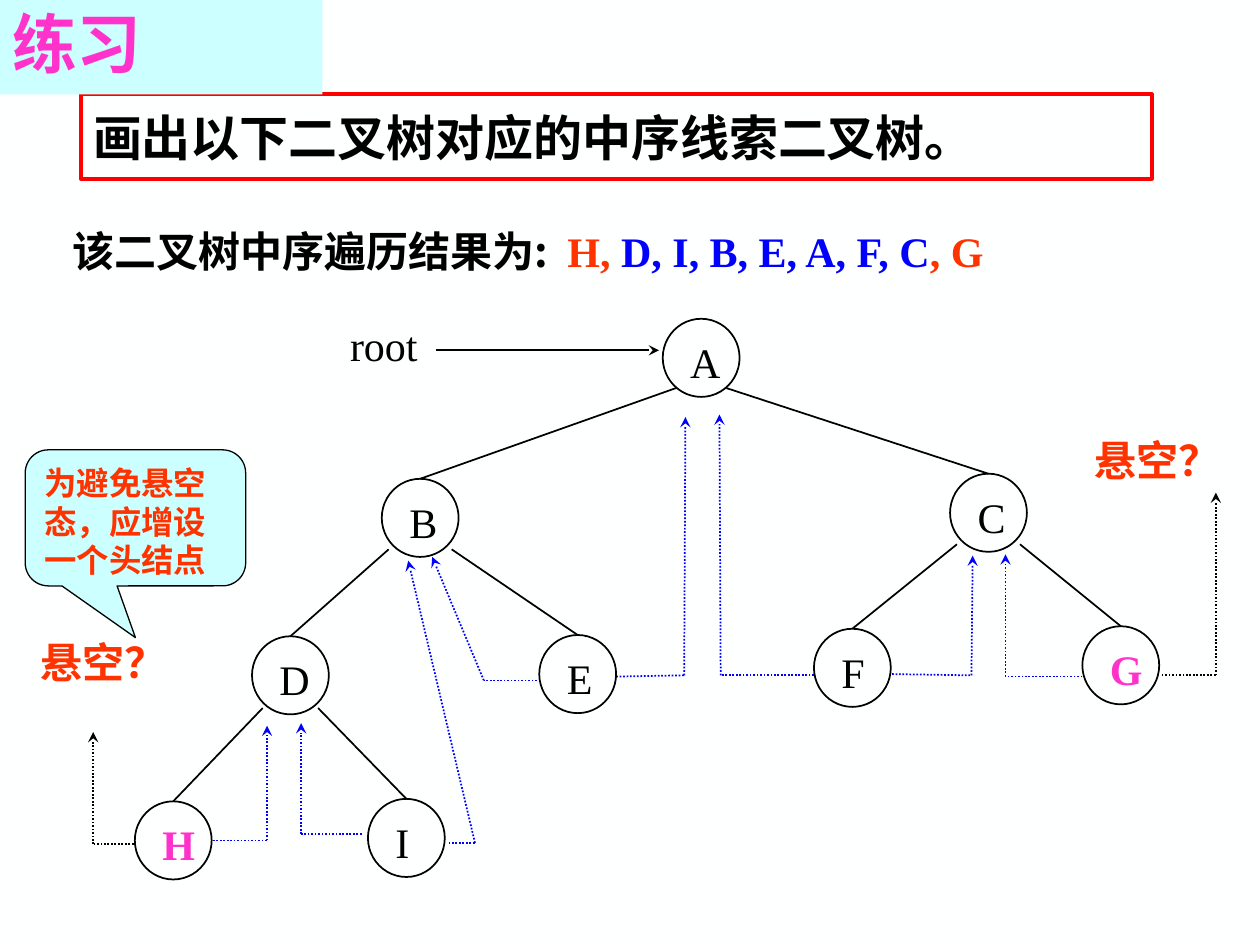
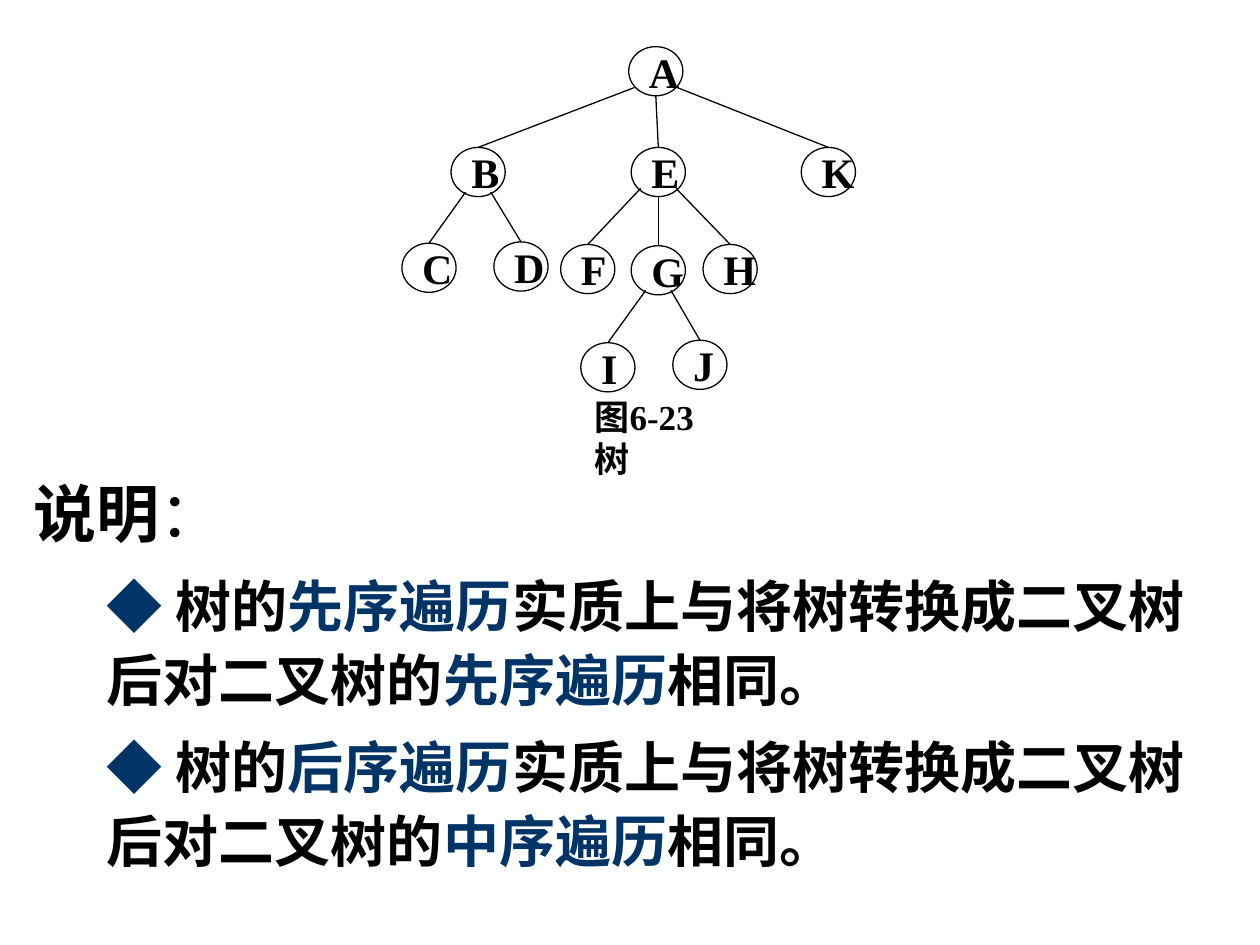
import pptx
import pptx.dml.color
import pptx.enum.dml
import pptx.enum.shapes
import pptx.enum.text
import pptx.oxml.ns
import pptx.util
from lxml import etree

RGB = pptx.dml.color.RGBColor
SHAPE = pptx.enum.shapes.MSO_SHAPE
ANCHOR = pptx.enum.text.MSO_ANCHOR
qn = pptx.oxml.ns.qn

BLACK = RGB(0x00, 0x00, 0x00)
PAPER = RGB(0xFE, 0xFF, 0xFF)
BLUE = RGB(0x00, 0x00, 0xFF)
NAVY = RGB(0x00, 0x33, 0x66)
RED = RGB(0xFF, 0x00, 0x00)
ORANGE = RGB(0xFF, 0x33, 0x00)
PINK = RGB(0xFF, 0x33, 0xCC)
CYAN = RGB(0xCC, 0xFF, 0xFF)
SERIF, SANS = "Times New Roman", "Noto Sans CJK SC"

# The slide is a grid of 10 columns by 7.5 rows of square cells.
WIDTH = pptx.util.Inches(10)
CELL = WIDTH // 10
HEIGHT = int(7.5 * CELL)

# Binary tree: node -> (left, top, label width)
BINARY_NODES = {
    "A": (5.26, 2.53, 0.44), "B": (3.03, 3.8, 0.42), "C": (7.54, 3.76, 0.42),
    "D": (2, 5.05, 0.44), "E": (4.28, 5.04, 0.41), "F": (6.46, 4.99, 0.39),
    "G": (8.59, 4.97, 0.46), "H": (1.07, 6.36, 0.46), "I": (2.92, 6.34, 0.31),
}
# Parent -> (children, sideways spread, drop below the centre)
BINARY_BRANCHES = {
    "A": ("BC", 0.2, 0.24), "B": ("DE", 0.25, 0.25),
    "C": ("FG", 0.25, 0.25), "D": ("HI", 0.22, 0.26),
}
# Each thread leaves a node, turns once and ends in an arrowhead.
THREADS = [
    [(3.56, 6.69), (3.77, 6.69), (3.24, 4.45)],
    [(4.26, 5.4), (3.84, 5.4), (3.43, 4.42)],
    [(2.87, 6.62), (2.39, 6.62), (2.39, 5.74)],
    [(1.69, 6.67), (2.12, 6.67), (2.12, 5.76)],
    [(6.46, 5.36), (5.72, 5.36), (5.71, 3.29)],
    [(8.59, 5.37), (7.98, 5.37), (7.98, 4.4)],
    [(4.89, 5.37), (5.43, 5.36), (5.44, 3.31)],
    [(7.08, 5.35), (7.71, 5.36), (7.72, 4.41)],
]
DANGLING_THREADS = [
    [(1.06, 6.7), (0.74, 6.7), (0.74, 5.81)],
    [(9.22, 5.36), (9.65, 5.36), (9.65, 3.91)],
]

# General tree: node -> (left, top)
TREE_NODES = {
    "A": (4.99, 0.37), "B": (3.58, 1.17), "E": (5.01, 1.17), "K": (6.36, 1.17),
    "C": (3.19, 1.93), "D": (3.92, 1.92), "F": (4.45, 1.94), "G": (5.01, 1.95),
    "H": (5.58, 1.94), "I": (4.61, 2.72), "J": (5.34, 2.7),
}
TREE_BRANCHES = {
    "A": ("BEK", 0.17, 0.13), "B": ("CD", 0.1, 0.16),
    "E": ("FGH", 0.14, 0.13), "G": ("IJ", 0.1, 0.16),
}


def cells(*values):
    return [round(v * CELL) for v in values]


def add_text(p, text, size=24, font=SERIF, color=BLACK, bold=False, spacing=0):
    """Add one run; spacing is extra letter spacing in points."""
    r = p.add_run()
    r.text = text
    r.font.size = pptx.util.Pt(size)
    r.font.name = font
    r.font.color.rgb = color
    r.font.bold = bold
    rpr = r.font._element
    etree.SubElement(rpr, qn("a:ea")).set("typeface", SANS)
    if spacing:
        rpr.set("spc", str(round(spacing * 100)))


def first_paragraph(sp, wrap=True, anchor=ANCHOR.TOP):
    tf = sp.text_frame
    tf.word_wrap = wrap
    tf.vertical_anchor = anchor
    p = tf.paragraphs[0]
    p.alignment = pptx.enum.text.PP_ALIGN.LEFT
    return p


def add_box(slide, box, kind=SHAPE.RECTANGLE, fill=None, line=None, weight=0.75):
    sp = slide.shapes.add_shape(kind, *cells(*box))
    sp.shadow.inherit = False
    if fill is None:
        sp.fill.background()
    else:
        sp.fill.solid()
        sp.fill.fore_color.rgb = fill
    if line is None:
        sp.line.fill.background()
    else:
        sp.line.color.rgb = line
        sp.line.width = pptx.util.Pt(weight)
    return sp


def add_label(slide, box, wrap=False):
    """Add a text box that fits its text and return its paragraph."""
    sp = slide.shapes.add_textbox(*cells(*box))
    sp.text_frame.auto_size = pptx.enum.text.MSO_AUTO_SIZE.SHAPE_TO_FIT_TEXT
    return first_paragraph(sp, wrap)


def add_line(slide, start, end, color=BLACK, weight=1, dotted=False, arrow=False):
    cxn = slide.shapes.add_connector(
        pptx.enum.shapes.MSO_CONNECTOR.STRAIGHT, *cells(*start, *end))
    cxn.line.color.rgb = color
    cxn.line.width = pptx.util.Pt(weight)
    if dotted:
        cxn.line.dash_style = pptx.enum.dml.MSO_LINE.ROUND_DOT
    sp_pr = cxn._element.spPr
    if arrow:
        etree.SubElement(sp_pr.find(qn("a:ln")), qn("a:tailEnd")).set("type", "stealth")
    etree.SubElement(sp_pr, qn("a:effectLst"))
    return cxn


def add_thread(slide, points, color):
    start, turn, end = points
    add_line(slide, start, turn, color, dotted=True)
    add_line(slide, turn, end, color, dotted=True, arrow=True)


def add_branches(slide, nodes, branches, weight):
    """Join each parent to the top of its children; a child right below gets a vertical line."""
    for parent, (children, spread, drop) in branches.items():
        sp = nodes[parent]
        x = (sp.left + sp.width / 2) / CELL
        y = (sp.top + sp.height / 2) / CELL
        for child in children:
            target = nodes[child]
            gap = (target.left - sp.left) / CELL
            if abs(gap) < 0.1:
                start = (x, y + sp.height / 2 / CELL)
            else:
                start = (x + (spread if gap > 0 else -spread), y + drop)
            cxn = add_line(slide, start, (x + gap, target.top / CELL), weight=weight)
            cxn.end_connect(target, 0)


def add_slide(prs):
    slide = prs.slides.add_slide(prs.slide_layouts[6])
    slide.background.fill.solid()
    slide.background.fill.fore_color.rgb = PAPER
    return slide


def add_binary_tree(slide):
    for points in THREADS:
        add_thread(slide, points, BLUE)
    for points in DANGLING_THREADS:
        add_thread(slide, points, BLACK)
    nodes = {}
    for name, (left, top, width) in BINARY_NODES.items():
        nodes[name] = add_box(slide, (left, top, 0.61, 0.62), SHAPE.OVAL,
                              line=BLACK, weight=1)
        dangling = name in "GH"
        add_text(add_label(slide, (left + 0.12, top + 0.09, width, 0.5)), name,
                 color=PINK if dangling else BLACK, bold=dangling)
    add_branches(slide, nodes, BINARY_BRANCHES, 1)
    add_line(slide, (3.46, 2.78), (5.23, 2.78), arrow=True)
    add_text(add_label(slide, (2.68, 2.49, 0.74, 0.5)), "root")


def build_exercise(prs):
    slide = add_slide(prs)
    add_binary_tree(slide)
    for box in ((0.22, 5, 1.42, 0.5), (8.59, 3.4, 1.36, 0.5)):
        add_text(add_label(slide, box, wrap=True), "悬空？", color=ORANGE, bold=True)

    p = add_label(slide, (0.48, 1.74, 8.83, 0.5), wrap=True)
    add_text(p, "该二叉树中序遍历结果为:", font=SANS, bold=True)
    add_text(p, " ", font=SANS, bold=True, spacing=5.4)
    for text, color in (("H, ", ORANGE), ("D, I, B, E, A, F, C", BLUE), (", G", ORANGE)):
        add_text(p, text, color=color, bold=True)

    title = add_box(slide, (0.64, 0.75, 8.5, 0.67), line=RED, weight=2.25)
    add_text(first_paragraph(title, anchor=ANCHOR.MIDDLE),
             "画出以下二叉树对应的中序线索二叉树。", size=28, bold=True)

    callout = add_box(slide, (0.2, 3.57, 1.75, 1.08),
                      SHAPE.ROUNDED_RECTANGULAR_CALLOUT, CYAN, BLACK)
    for i, value in enumerate((0, 0.88, 0.17)):
        callout.adjustments[i] = value
    add_text(first_paragraph(callout), "为避免悬空态，应增设一个头结点",
             size=18.5, color=ORANGE, bold=True)

    tag = add_box(slide, (0, 0, 2.56, 0.75), fill=CYAN)
    p = first_paragraph(tag, anchor=ANCHOR.MIDDLE)
    p.line_spacing = 0.9
    add_text(p, "练习", size=37, font=SANS, color=PINK, bold=True)


def add_note(tf, tree_order, binary_order):
    p = tf.add_paragraph()
    p.level = 1
    p.line_spacing = 1.1
    p.space_before = pptx.util.Pt(8)
    ppr = p._p.get_or_add_pPr()
    ppr.set("marL", str(cells(0.58)[0]))
    ppr.set("indent", "0")
    for text, color in (("◆", NAVY), (" 树的", BLACK), (tree_order, NAVY),
                        ("实质上与将树转换成二叉树后对二叉树的", BLACK),
                        (binary_order, NAVY), ("相同。", BLACK)):
        add_text(p, text, size=32, font=SANS, color=color, bold=True)


def build_traversal(prs):
    slide = add_slide(prs)
    body = slide.shapes.add_textbox(*cells(0.17, 3.66, 9.67, 3.39))
    p = first_paragraph(body)
    p.line_spacing = 1.1
    p.space_before = pptx.util.Pt(9)
    add_text(p, "说明", size=36, font=SANS, bold=True)
    add_text(p, "：", size=36, font=SANS)
    add_note(body.text_frame, "先序遍历", "先序遍历")
    add_note(body.text_frame, "后序遍历", "中序遍历")

    nodes = {}
    for name, place in TREE_NODES.items():
        nodes[name] = add_box(slide, (*place, 0.43, 0.39), SHAPE.OVAL, line=BLACK)
        add_text(first_paragraph(nodes[name], False, ANCHOR.MIDDLE), name, bold=True)
    add_branches(slide, nodes, TREE_BRANCHES, 0.75)

    caption = slide.shapes.add_textbox(*cells(4.62, 3.28, 1.34, 0.39))
    p = first_paragraph(caption, False, ANCHOR.MIDDLE)
    for text, spacing in (("图6-23", 0), (" ", 5), ("树", 0)):
        add_text(p, text, size=20, bold=True, spacing=spacing)


def main():
    prs = pptx.Presentation()
    prs.slide_width, prs.slide_height = WIDTH, HEIGHT
    build_exercise(prs)
    build_traversal(prs)
    prs.save("out.pptx")


if __name__ == "__main__":
    main()
